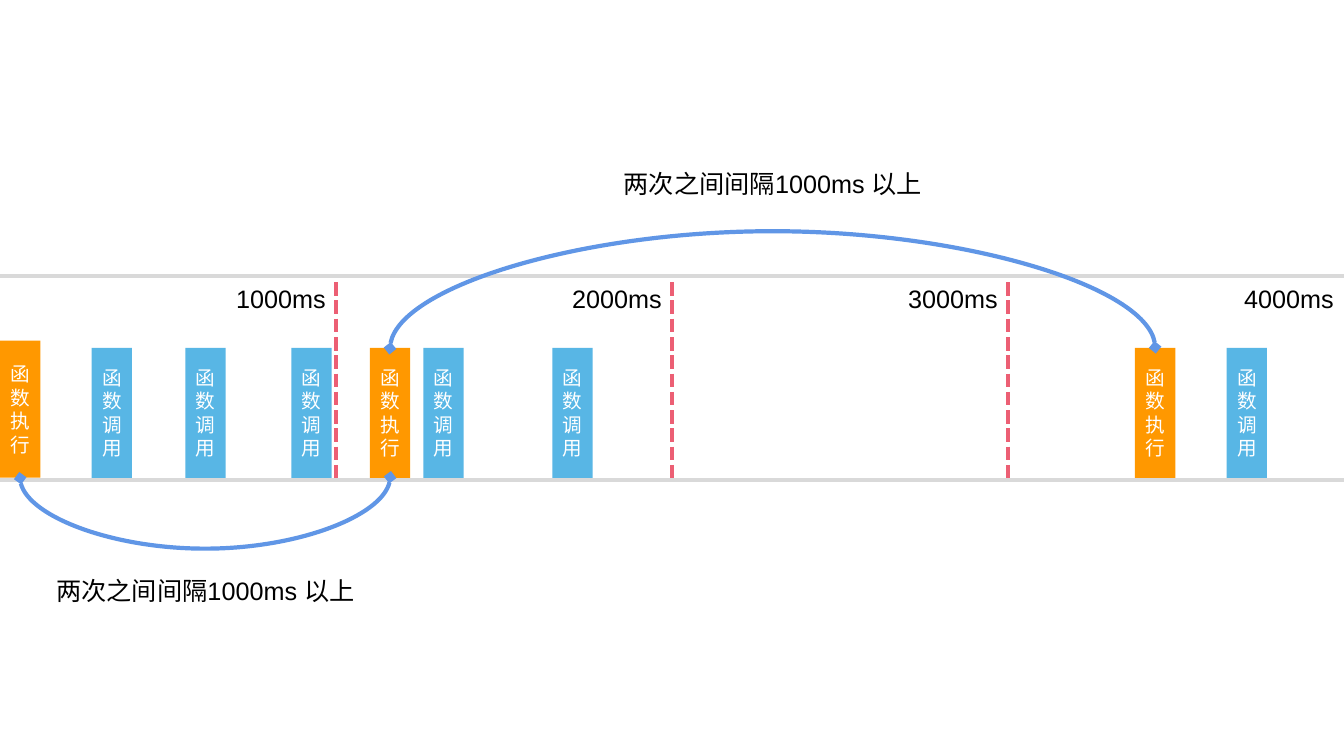
from lxml import etree
from pptx import Presentation
from pptx import util as u
from pptx.dml.color import RGBColor
from pptx.enum import dml, shapes, text
from pptx.oxml.ns import qn

THEME = {
    "font": "Arial", "label_size": 18, "bar_size": 14, "line_width": 3, "dash_width": 3.25,
    "text": "000000", "bar_text": "FFFFFF", "call": "58B6E5", "run": "FF9800",
    "rail": "D9D9D9", "second": "EC5F74", "arc": "6096E6",
}

presentation = Presentation()
presentation.slide_width = u.Inches(13.33)
presentation.slide_height = u.Inches(7.5)
slide = presentation.slides.add_slide(presentation.slide_layouts[6])

# Grid: the slide is 4000 ms wide and 75 rows high
MS = presentation.slide_width / 4000
ROW = presentation.slide_height / 75
TOP_RAIL, BOTTOM_RAIL = 27.4, 47.6
BAR_TOP, BAR_BOTTOM, BAR_MS = 34.5, 47.4, 120


def add_line(kind, begin, end, colour, width):
    line = slide.shapes.add_connector(kind, *(round(value) for value in (*begin, *end)))
    line.line.color.rgb = RGBColor.from_string(THEME[colour])
    line.line.width = u.Pt(THEME[width])
    etree.SubElement(line._element.spPr, qn("a:effectLst"))
    return line


def add_text(frame, content, size, colour):
    run = frame.paragraphs[0].add_run()
    run.text = content
    run.font.name = THEME["font"]
    run.font.size = u.Pt(THEME[size])
    run.font.color.rgb = RGBColor.from_string(THEME[colour])


# Second marks and their labels
for second in range(1, 5):
    x = second * 1000 * MS
    if second < 4:
        mark = add_line(shapes.MSO_CONNECTOR.STRAIGHT, (x, 28 * ROW), (x, 47.7 * ROW),
                        "second", "dash_width")
        mark.line.dash_style = dml.MSO_LINE.SQUARE_DOT
        mark.line._ln.find(qn("a:prstDash")).set("val", "sysDash")
    label = slide.shapes.add_textbox(round(x - 327 * MS), round(27.6 * ROW),
                                     round(327 * MS), round(4 * ROW))
    label.text_frame.word_wrap = False
    add_text(label.text_frame, f"{second}000ms", "label_size", "text")

# Rails of the timeline
for row in (TOP_RAIL, BOTTOM_RAIL):
    add_line(shapes.MSO_CONNECTOR.STRAIGHT, (0, row * ROW),
             (presentation.slide_width, row * ROW), "rail", "line_width")

# Function calls and executions, by start time in ms
events = [
    (0, "run"), (273, "call"), (552, "call"), (867, "call"), (1101, "run"),
    (1260, "call"), (1644, "call"), (3378, "run"), (3651, "call"),
]
names = {"run": "函数执行", "call": "函数调用"}
for start, kind in events:
    top = BAR_TOP if start else 33.8
    bar = slide.shapes.add_shape(shapes.MSO_SHAPE.RECTANGLE, round(start * MS), round(top * ROW),
                                 round(BAR_MS * MS), round((BAR_BOTTOM - top) * ROW))
    bar.shadow.inherit = False
    bar.fill.solid()
    bar.fill.fore_color.rgb = RGBColor.from_string(THEME[kind])
    bar.line.fill.background()
    bar.text_frame.word_wrap = True
    bar.text_frame.vertical_anchor = text.MSO_ANCHOR.MIDDLE
    bar.text_frame.paragraphs[0].alignment = text.PP_ALIGN.CENTER
    add_text(bar.text_frame, names[kind], "bar_size", "bar_text")

# Arcs between executions: a thin upright curve, turned to lie flat
THIN = 0.1 * ROW
arcs = [  # first and last execution, row of the ends, depth in rows, direction, turn
    (0, 1101, BAR_BOTTOM, 7.1, -1, 90),
    (1101, 3378, BAR_TOP, 11.8, 1, 270),
]
for first, last, row, depth, direction, turn in arcs:
    centre = ((first + last + BAR_MS) / 2 * MS, row * ROW)
    half = (direction * THIN / 2, direction * (last - first) / 2 * MS)
    arc = add_line(shapes.MSO_CONNECTOR.CURVE,
                   (centre[0] - half[0], centre[1] - half[1]),
                   (centre[0] + half[0], centre[1] + half[1]), "arc", "line_width")
    properties = arc._element.spPr
    properties.find(qn("a:xfrm")).set("rot", str(turn * 60000))
    bend = round(direction * depth * ROW / THIN * 100000)
    adjustments = properties.find(qn("a:prstGeom")).find(qn("a:avLst"))
    etree.SubElement(adjustments, qn("a:gd"), name="adj1", fmla=f"val {bend}")
    for end in ("a:headEnd", "a:tailEnd"):
        etree.SubElement(arc.line._ln, qn(end), type="diamond")

# Notes on the interval
for start, row in ((138, 56.6), (1827, 16.2)):
    note = slide.shapes.add_textbox(round(start * MS), round(row * ROW),
                                    round(948 * MS), round(4 * ROW))
    note.text_frame.word_wrap = True
    add_text(note.text_frame, "两次之间间隔1000ms 以上", "label_size", "text")

presentation.save("out.pptx")
